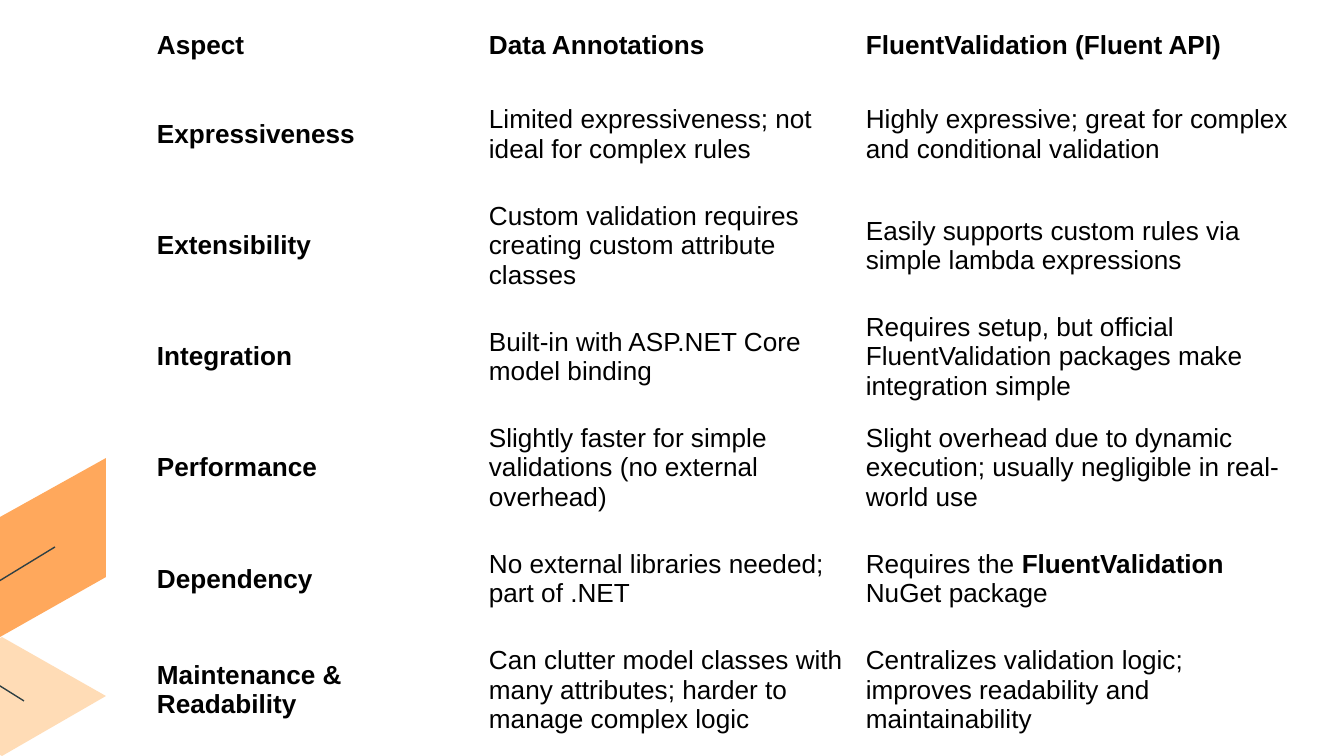
from pptx import Presentation
from pptx.dml.color import RGBColor
from pptx.enum.text import MSO_ANCHOR as Anchor
from pptx.util import Pt

EMU_PER_PX = 914400 / 134.4
BLACK = RGBColor(0x00, 0x00, 0x00)
ORANGE = RGBColor(0xFF, 0xA8, 0x5C)
PEACH = RGBColor(0xFF, 0xDC, 0xB6)
SLATE = RGBColor(0x2F, 0x40, 0x44)

COLUMN_WIDTHS = (332, 377, 449)
HEADER_HEIGHT = 68
ROWS = (
    ("Aspect", "Data Annotations", "FluentValidation (Fluent API)"),
    ("Expressiveness", "Limited expressiveness; not ideal for complex rules",
     "Highly expressive; great for complex and conditional validation"),
    ("Extensibility", "Custom validation requires creating custom attribute classes",
     "Easily supports custom rules via simple lambda expressions"),
    ("Integration", "Built-in with ASP.NET Core model binding",
     "Requires setup, but official FluentValidation packages make integration simple"),
    ("Performance", "Slightly faster for simple validations (no external overhead)",
     "Slight overhead due to dynamic execution; usually negligible in real-world use"),
    ("Dependency", "No external libraries needed; part of .NET",
     "Requires the **FluentValidation** NuGet package"),
    ("Maintenance & Readability",
     "Can clutter model classes with many attributes; harder to manage complex logic",
     "Centralizes validation logic; improves readability and maintainability"),
)


def px(length):
    return round(length * EMU_PER_PX)


def add_outline(page, points, fill=None, line=None):
    builder = page.shapes.build_freeform(*points[0], scale=EMU_PER_PX)
    builder.add_line_segments(points[1:], close=fill is not None)
    shape = builder.convert_to_shape()
    shape.shadow.inherit = False
    if fill is None:
        shape.fill.background()
    else:
        shape.fill.solid()
        shape.fill.fore_color.rgb = fill
    if line is None:
        shape.line.fill.background()
    else:
        shape.line.color.rgb = line
        shape.line.width = Pt(0.75)


def add_ribbon(page, left, top, width, height):
    right, bottom = left + width, top + height
    center = left + 2
    middle, tip = bottom - 119, bottom - 60
    add_outline(page, [(left, top + 59), (right, top),
                       (right, top + 119), (left, middle)], fill=ORANGE)
    add_outline(page, [(center, bottom), (2 * center - right, tip),
                       (center, middle), (right, tip)], fill=PEACH)
    add_outline(page, [(left + 24, top + 243), (left - 40, top + 203),
                       (left - 40, top + 147), (left + 55, top + 89)], line=SLATE)


def fill_cell(cell, text, bold):
    cell.fill.background()
    cell.vertical_anchor = Anchor.MIDDLE
    cell.margin_left, cell.margin_right = px(10), px(9)
    cell.margin_top = cell.margin_bottom = px(4)
    para = cell.text_frame.paragraphs[0]
    para.font.name = "Arial"
    para.font.size = Pt(14)
    para.font.color.rgb = BLACK
    para.font.bold = bold
    for index, part in enumerate(text.split("**")):
        span = para.add_run()
        span.text = part
        if index % 2:
            span.font.bold = True


def add_comparison(page, left, top, width, height):
    frame = page.shapes.add_table(len(ROWS), len(COLUMN_WIDTHS),
                                  *map(px, (left, top, width, height)))
    table = frame.table
    table.first_row = table.horz_banding = False
    for column, column_width in zip(table.columns, COLUMN_WIDTHS):
        column.width = px(column_width)
    body_height = (height - HEADER_HEIGHT) / (len(ROWS) - 1)
    for r, texts in enumerate(ROWS):
        table.rows[r].height = px(body_height if r else HEADER_HEIGHT)
        for c, text in enumerate(texts):
            fill_cell(table.cell(r, c), text, bold=r == 0 or c == 0)


def main():
    deck = Presentation()
    deck.slide_width, deck.slide_height = px(1344), px(756)
    page = deck.slides.add_slide(deck.slide_layouts[6])
    add_ribbon(page, 0, 458, 106, 298)
    add_comparison(page, 147, 11, sum(COLUMN_WIDTHS), 735)
    deck.save("out.pptx")


if __name__ == "__main__":
    main()
